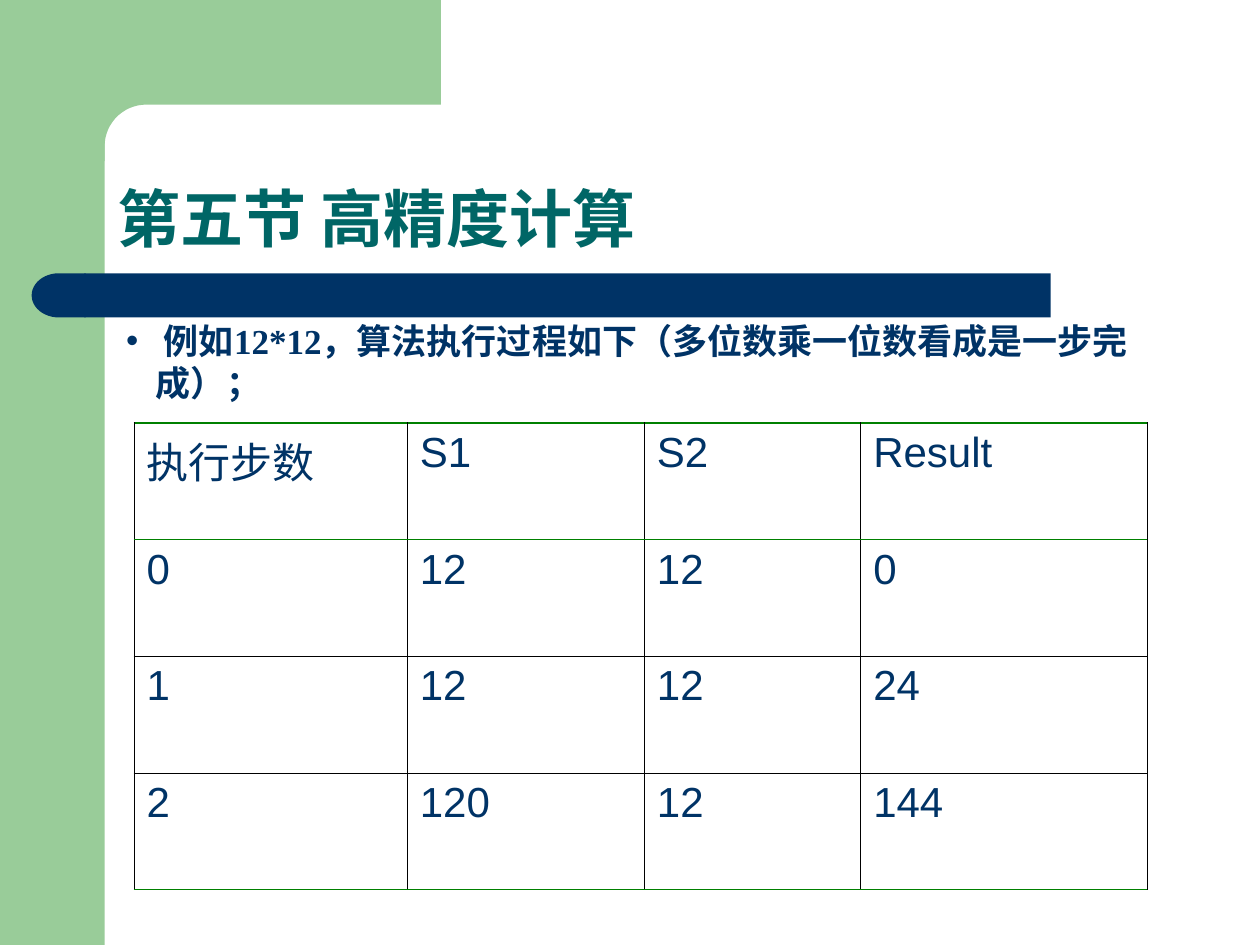
import math

from lxml import etree
from pptx import Presentation
from pptx.dml.color import RGBColor
from pptx.enum.shapes import MSO_SHAPE
from pptx.enum.text import MSO_ANCHOR, MSO_AUTO_SIZE, PP_ALIGN
from pptx.oxml.ns import qn
from pptx.util import Cm, Pt

RECTANGLE = MSO_SHAPE.RECTANGLE
ROUNDED = MSO_SHAPE.ROUNDED_RECTANGLE
DELAY = MSO_SHAPE.FLOWCHART_DELAY
TOP, BOTTOM = MSO_ANCHOR.TOP, MSO_ANCHOR.BOTTOM
LEFT = PP_ALIGN.LEFT
NO_AUTOFIT = MSO_AUTO_SIZE.NONE

GREEN, NAVY, TEAL = "99CC99", "003366", "006666"
BLACK_LINE = ("000000", 0.34)
THIN_GREEN_LINE = ("008000", 0.45)
GREEN_LINE = ("008000", 0.96)
STRIP_WIDTH = 2.11

COLUMN_WIDTHS = [5.51, 4.78, 4.36, 5.77]
ROW_HEIGHT = 2.35
STEPS = [
    ["执行步数", "S1", "S2", "Result"],
    ["0", "12", "12", "0"],
    ["1", "12", "12", "24"],
    ["2", "120", "12", "144"],
]


def color(value):
    return RGBColor.from_string(value)


def paint(shape, fill):
    shape.shadow.inherit = False
    shape.fill.solid()
    shape.fill.fore_color.rgb = color(fill)
    shape.line.fill.background()


def add_block(slide, kind, box, fill):
    shape = slide.shapes.add_shape(kind, *map(Cm, box))
    paint(shape, fill)
    return shape


def add_corner(slide):
    left, right, bottom, radius = 1.27, 8.89, 3.25, 0.84
    center = STRIP_WIDTH + radius
    arc = [
        (center + radius * math.cos(math.radians(angle)),
         center - radius * math.sin(math.radians(angle)))
        for angle in range(90, 181, 6)
    ]
    points = [(right, STRIP_WIDTH), *arc, (STRIP_WIDTH, bottom), (left, bottom), (left, 0)]
    builder = slide.shapes.build_freeform(Cm(right), Cm(0))
    builder.add_line_segments([(Cm(x), Cm(y)) for x, y in points])
    paint(builder.convert_to_shape(), GREEN)


def add_decoration(slide):
    add_block(slide, RECTANGLE, (0, 0, STRIP_WIDTH, 19.05), GREEN)
    add_corner(slide)
    bar = add_block(slide, ROUNDED, (1.7, 5.51, 19.48, 0.89), NAVY)
    bar.adjustments[0] = 0
    cap = add_block(slide, DELAY, (0.64, 5.51, 1.09, 0.89), NAVY)
    cap.element.spPr.get_or_add_xfrm().set("flipH", "1")


def style_paragraph(paragraph, font_name, size, text_color, bold=False):
    paragraph.alignment = LEFT
    paragraph.font.name = font_name
    paragraph.font.size = Pt(size)
    paragraph.font.bold = bold
    paragraph.font.color.rgb = color(text_color)


def set_hanging_indent(paragraph, indent):
    properties = paragraph._p.get_or_add_pPr()
    properties.set("marL", str(Cm(indent)))
    properties.set("indent", str(-Cm(indent)))
    return properties


def fill_placeholder(placeholder, box, text, anchor):
    placeholder.left, placeholder.top, placeholder.width, placeholder.height = map(Cm, box)
    tree = placeholder.element.getparent()
    tree.append(placeholder.element)
    frame = placeholder.text_frame
    frame.text = text
    frame.word_wrap = True
    frame.auto_size = NO_AUTOFIT
    frame.vertical_anchor = anchor
    return frame.paragraphs[0]


def add_title(slide):
    paragraph = fill_placeholder(
        slide.shapes.title, (2.11, 2.11, 22.02, 3.18), "第五节 高精度计算", BOTTOM)
    style_paragraph(paragraph, "Arial", 36, TEAL, bold=True)
    paragraph.line_spacing = 0.9


def add_example(slide):
    paragraph = fill_placeholder(
        slide.placeholders[1], (2.29, 6.32, 21.62, 1.96),
        " 例如12*12，算法执行过程如下（多位数乘一位数看成是一步完成）；", TOP)
    style_paragraph(paragraph, "Times New Roman", 20, NAVY, bold=True)
    paragraph.space_before = Pt(12.5)
    properties = set_hanging_indent(paragraph, 0.6)
    bullet_color = etree.SubElement(properties, qn("a:buClr"))
    etree.SubElement(bullet_color, qn("a:srgbClr"), val=NAVY)
    etree.SubElement(properties, qn("a:buChar"), char="•")


def set_border(cell, side, line_color, width):
    line = etree.SubElement(cell._tc.get_or_add_tcPr(), qn(f"a:{side}"), w=str(Pt(width)))
    fill = etree.SubElement(line, qn("a:solidFill"))
    etree.SubElement(fill, qn("a:srgbClr"), val=line_color)


def add_steps_table(slide):
    row_count = len(STEPS)
    frame = slide.shapes.add_table(
        row_count, len(COLUMN_WIDTHS), Cm(2.7), Cm(8.53),
        Cm(sum(COLUMN_WIDTHS)), Cm(ROW_HEIGHT * row_count))
    table = frame.table
    table.first_row = False
    table.horz_banding = False
    for column, width in zip(table.columns, COLUMN_WIDTHS):
        column.width = Cm(width)
    rules = [GREEN_LINE, THIN_GREEN_LINE, BLACK_LINE, BLACK_LINE, GREEN_LINE]
    for row_index, values in enumerate(STEPS):
        table.rows[row_index].height = Cm(ROW_HEIGHT)
        for column_index, value in enumerate(values):
            cell = table.cell(row_index, column_index)
            cell.text = value
            paragraph = cell.text_frame.paragraphs[0]
            style_paragraph(paragraph, "Arial", 24, NAVY)
            set_hanging_indent(paragraph, 0.95)
            borders = [("lnL", BLACK_LINE), ("lnR", BLACK_LINE),
                       ("lnT", rules[row_index]), ("lnB", rules[row_index + 1])]
            for side, line in borders:
                set_border(cell, side, *line)
            cell.fill.background()


def main():
    presentation = Presentation()
    presentation.slide_width = Cm(25.4)
    presentation.slide_height = Cm(19.05)
    slide = presentation.slides.add_slide(presentation.slide_layouts[1])
    add_decoration(slide)
    add_title(slide)
    add_steps_table(slide)
    add_example(slide)
    presentation.save("out.pptx")


if __name__ == "__main__":
    main()
